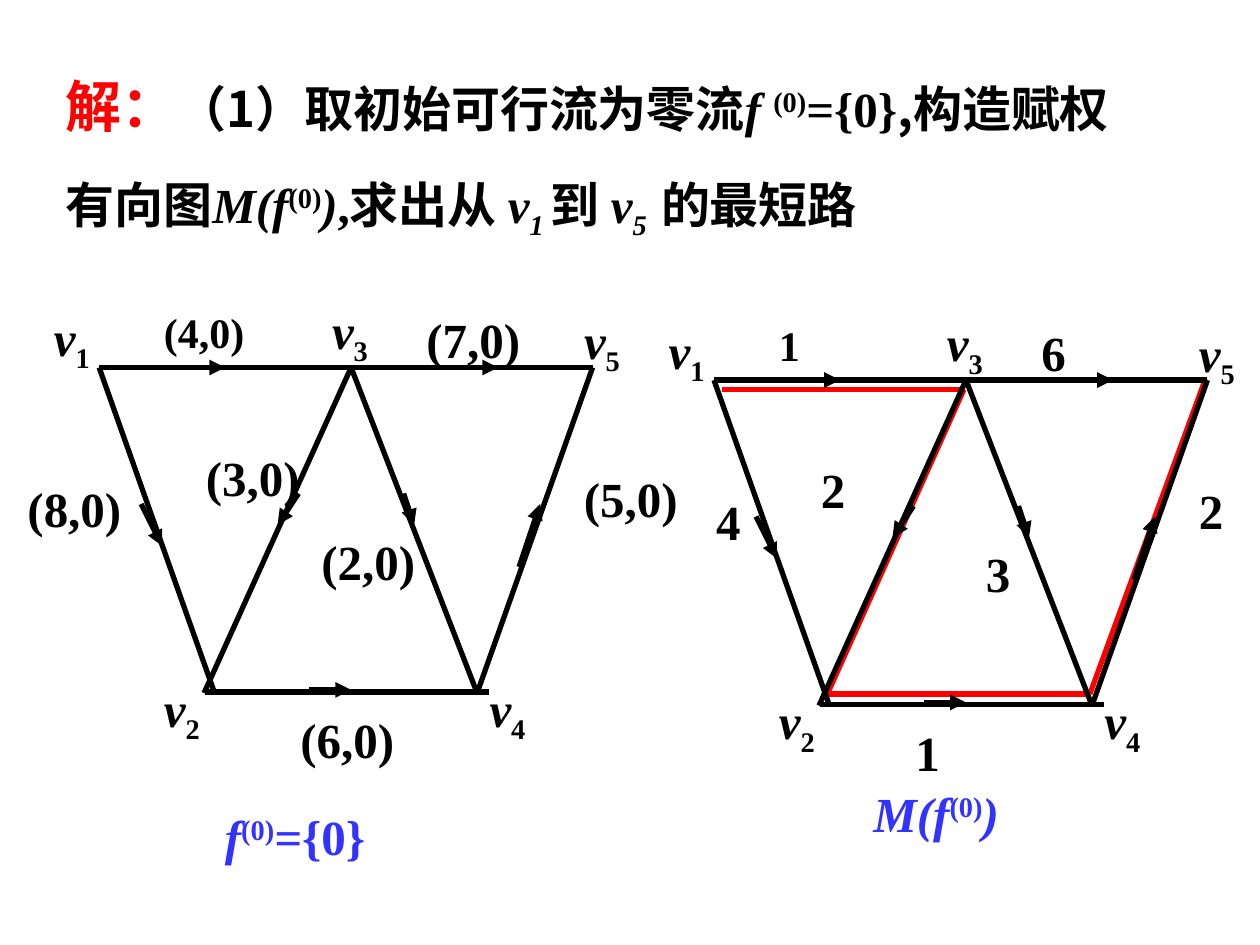
"""Build the slide that compares a zero flow with its weighted directed graph."""
from dataclasses import dataclass
from itertools import pairwise

from lxml import etree
from pptx import Presentation
from pptx.dml.color import RGBColor
from pptx.enum.shapes import MSO_CONNECTOR
from pptx.enum.text import MSO_ANCHOR, MSO_AUTO_SIZE, PP_ALIGN
from pptx.oxml.ns import qn
from pptx.util import Inches, Pt

STRAIGHT = MSO_CONNECTOR.STRAIGHT
TOP = MSO_ANCHOR.TOP
NO_FIT = MSO_AUTO_SIZE.NONE
LEFT, JUSTIFY = PP_ALIGN.LEFT, PP_ALIGN.JUSTIFY
CELL = 1 / 12


@dataclass(frozen=True)
class Theme:
    """Colours, fonts and type sizes of the slide."""
    ink: str = "000000"
    accent: str = "FF0000"
    caption: str = "3333FF"
    latin: str = "Times New Roman"
    chinese: str = "Noto Sans CJK SC"
    lead: int = 32
    body: int = 28
    small: int = 24
    stroke: int = 3


THEME = Theme()


@dataclass(frozen=True)
class Span:
    """A piece of text with one look."""
    text: str
    italic: bool = False
    shift: int = 0
    font: str = THEME.latin
    size: int = THEME.body
    color: str = THEME.ink


@dataclass(frozen=True)
class Grid:
    """A grid of square cells with its origin in inches."""
    left: float
    top: float

    def point(self, column: float, row: float) -> tuple[int, int]:
        """Return the slide position of a grid point."""
        return Inches(self.left + column * CELL), Inches(self.top + row * CELL)


@dataclass(frozen=True)
class Label:
    """The place of an edge label."""
    column: float
    row: float
    size: int = THEME.body


FLOW_GRID = Grid(0.12, 0)
WEIGHT_GRID = Grid(5, 0.1)

NODES = {"1": (8, 35), "2": (19, 66), "3": (32, 35), "4": (44, 66), "5": (55, 35)}
EDGES = [
    (NODES["3"], NODES["4"]),
    ((18.1, 65.9), (45.1, 65.9)),
    (NODES["1"], NODES["2"]),
    (NODES["5"], NODES["4"]),
    (NODES["1"], NODES["5"]),
    ((18, 66), NODES["3"]),
]
ARROWS = [
    ((15, 35), (20, 35)),
    ((41, 35), (46, 35)),
    ((37, 47), (38, 50)),
    ((28, 65.7), (32, 65.7)),
    ((48, 54), (50, 48)),
    ((12, 48), (14, 52)),
    ((27, 47), (25, 50)),
]
NODE_LABELS = {"1": (2.5, 28.7), "4": (44, 64), "2": (13, 64), "3": (29, 28), "5": (53, 29)}
EDGE_LABELS = [
    Label(13, 28.6, THEME.small),
    Label(38, 28.9),
    Label(0, 45),
    Label(17, 42),
    Label(28, 50),
    Label(53, 44),
    Label(26, 67),
]
FLOWS = ["(4,0)", "(7,0)", "(8,0)", "(3,0)", "(2,0)", "(5,0)", "(6,0)"]
WEIGHTS = ["1", "6", "4", "2", "3", "2", "1"]
WEIGHT_INDENTS = [0, 0, 7, 0, 4.7, 0, 0]
SHORTEST_PATH = [(8.8, 35.9), (31.8, 35.9), (18.8, 64.9), (43.8, 64.9), (54.8, 34.9)]


def write(paragraph, spans: list[Span]) -> None:
    """Fill a paragraph with bold formatted spans."""
    for span in spans:
        run = paragraph.add_run()
        run.text = span.text
        font = run.font
        font.name, font.size = span.font, Pt(span.size)
        font.bold, font.italic = True, span.italic
        font.color.rgb = RGBColor.from_string(span.color)
        properties = run.font._element
        if span.shift:
            properties.set("baseline", str(span.shift * 1000))
        east_asian = etree.Element(qn("a:ea"), typeface=span.font)
        properties.find(qn("a:latin")).addnext(east_asian)


def add_text(shapes, grid: Grid, column: float, row: float, width: float,
             height: float, spans: list[Span], indent: float = 0) -> None:
    """Place a one-line text box on the grid."""
    box = shapes.add_textbox(*grid.point(column, row), Inches(width * CELL), Inches(height * CELL))
    frame = box.text_frame
    frame.word_wrap = True
    frame.margin_left = Inches(0.1 + indent * CELL)
    frame.paragraphs[0].alignment = LEFT
    write(frame.paragraphs[0], spans)


def add_line(shapes, grid: Grid, start: tuple, end: tuple,
             color: str = THEME.ink, arrow: bool = False) -> None:
    """Draw a straight line, with an arrowhead at its end if asked."""
    line = shapes.add_connector(STRAIGHT, *grid.point(*start), *grid.point(*end))
    line.line.color.rgb = RGBColor.from_string(color)
    line.line.width = Pt(THEME.stroke)
    properties = line._element.spPr
    if arrow:
        etree.SubElement(properties.find(qn("a:ln")), qn("a:tailEnd"), type="triangle")
    etree.SubElement(properties, qn("a:effectLst"))


def add_graph(page, grid: Grid, values: list[str], indents: list[float]) -> None:
    """Draw the five-node graph with its edge labels as one group."""
    shapes = page.shapes.add_group_shape().shapes
    for start, end in EDGES:
        add_line(shapes, grid, start, end)
    for start, end in ARROWS:
        add_line(shapes, grid, start, end, arrow=True)
    for number, (column, row) in NODE_LABELS.items():
        add_text(shapes, grid, column, row, 8, 7.5, [Span("v", True), Span(number, shift=-25)])
    for label, value, indent in zip(EDGE_LABELS, values, indents):
        add_text(shapes, grid, label.column, label.row, 13, 6.8,
                 [Span(value, size=label.size)], indent)


def add_caption(page, grid: Grid, column: float, row: float, parts: list[tuple]) -> None:
    """Write a formula under a graph."""
    spans = [Span(*part, color=THEME.caption) for part in parts]
    add_text(page.shapes, grid, column, row, 17.6, 6.8, spans)


def add_title(page) -> None:
    """Write the solution step in the title placeholder."""
    title = page.shapes.title
    title.left, title.top, title.width, title.height = map(Inches, (0.42, 0.33, 8.83, 1.64))
    frame = title.text_frame
    frame.word_wrap, frame.auto_size, frame.vertical_anchor = True, NO_FIT, TOP
    chinese = THEME.chinese
    lines = [
        [Span("解：", font=chinese, size=THEME.lead, color=THEME.accent),
         Span("（1）取初始可行流为零流", font=chinese), Span("f ", True),
         Span("(0)", shift=30), Span("={0}"), Span(",构造赋权", font=chinese)],
        [Span("有向图", font=chinese), Span("M(f", True), Span("(0)", shift=30),
         Span(")", True), Span(","), Span("求出从 ", font=chinese),
         Span("v", True), Span("1 ", True, -25), Span("到 ", font=chinese),
         Span("v", True), Span("5  ", True, -25), Span("的最短路", font=chinese)],
    ]
    for index, spans in enumerate(lines):
        paragraph = frame.add_paragraph() if index else frame.paragraphs[0]
        paragraph.alignment, paragraph.line_spacing = JUSTIFY, 1.35
        paragraph.space_before = Pt(7 if index else 0)
        write(paragraph, spans)


def main() -> None:
    """Build and save the deck."""
    deck = Presentation()
    deck.slide_width, deck.slide_height = Inches(10), Inches(7.5)
    page = deck.slides.add_slide(deck.slide_layouts[5])
    add_title(page)
    path_shapes = page.shapes.add_group_shape().shapes
    for start, end in pairwise(SHORTEST_PATH):
        add_line(path_shapes, WEIGHT_GRID, start, end, THEME.accent)
    add_caption(page, WEIGHT_GRID, 22, 72.8, [("M(f", True), ("(0)", False, 30), (")", True)])
    add_graph(page, FLOW_GRID, FLOWS, [0] * len(FLOWS))
    add_caption(page, FLOW_GRID, 18.8, 76.2,
                [("f", True), ("(0)", False, 30), ("=", True), ("{0}",)])
    add_graph(page, WEIGHT_GRID, WEIGHTS, WEIGHT_INDENTS)
    deck.save("out.pptx")


if __name__ == "__main__":
    main()
